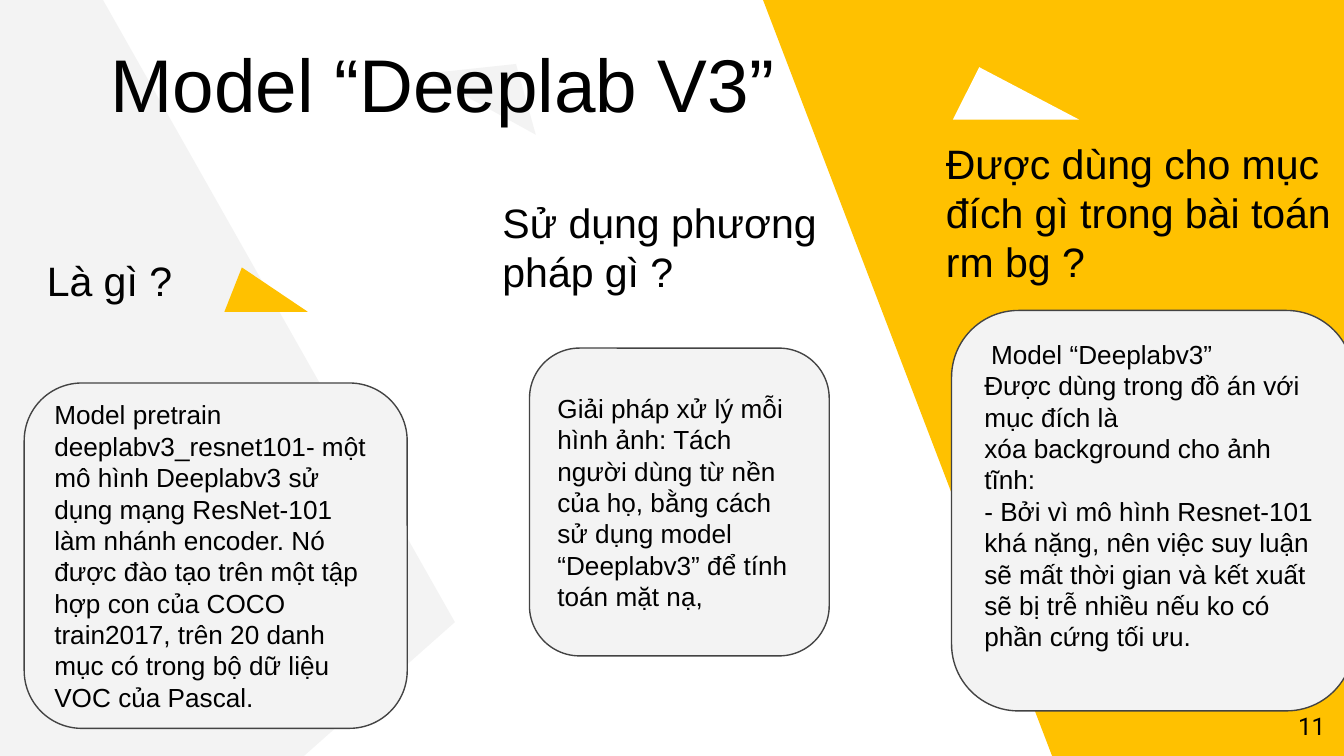
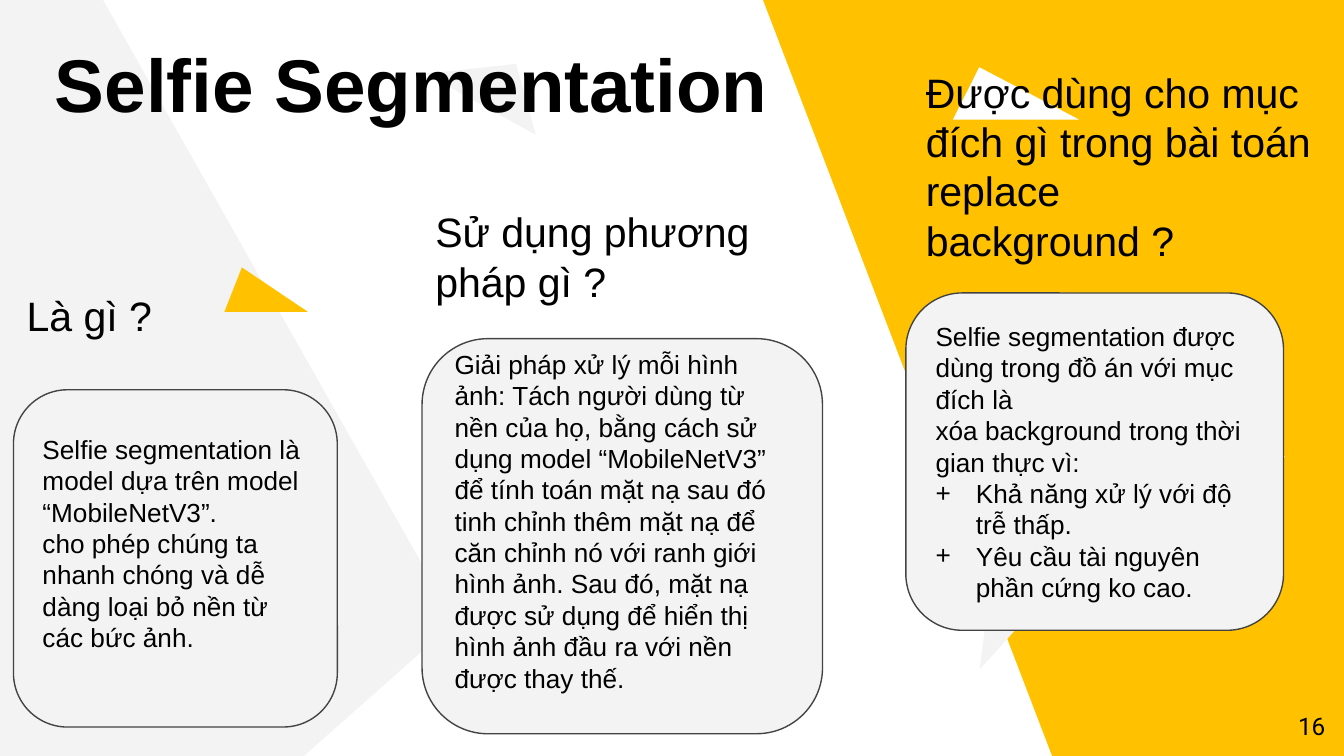
import dataclasses
import typing

import lxml.etree
import pptx
import pptx.dml.color
import pptx.enum.shapes
import pptx.enum.text
import pptx.oxml.ns
import pptx.util

Inches = pptx.util.Inches
Shapes = pptx.enum.shapes.MSO_SHAPE
Align = pptx.enum.text.PP_ALIGN
Anchor = pptx.enum.text.MSO_ANCHOR

YELLOW = "FFC100"
PALE = "F3F3F3"
WHITE = "FFFFFF"
BLACK = "000000"
OUTLINE = "434343"
BODY_FONT = "Arial"
NUMBER_FONT = "Roboto"
INSET = 0.1
BULLET_INDENT = 0.3
RAISED_INSETS = (0, 0.23)


class Box(typing.NamedTuple):
    left: float
    top: float
    width: float
    height: float


@dataclasses.dataclass(frozen=True)
class Triangle:
    box: Box
    fill: str
    apex: float
    rotation: float = 0
    flipped: bool = True


@dataclasses.dataclass(frozen=True)
class Line:
    text: str
    indent: float = 0
    bullet: str = ""


@dataclasses.dataclass(frozen=True)
class Column:
    question: str
    question_box: Box
    answer: tuple[Line, ...]
    answer_box: Box
    raised: bool = False


@dataclasses.dataclass(frozen=True)
class ModelSlide:
    title: str
    title_box: Box
    number: int
    columns: tuple[Column, ...]
    bold_title: bool = False
    accents: tuple[Triangle, ...] = ()


BACKDROP = (
    Triangle(Box(-0.45, 1.21, 16.54, 4.8), YELLOW, 0.759, 270, False),
    Triangle(Box(-2.81, 1.44, 9, 3.39), PALE, 0.334, 90),
    Triangle(Box(1.67, 1.99, 0.62, 0.33), YELLOW, 0.791),
    Triangle(Box(3.2, 0.41, 0.94, 0.39), PALE, 0.408, 28.9),
    Triangle(Box(7.09, 0.5, 0.94, 0.39), WHITE, 0.791),
    Triangle(Box(7.09, 4.53, 0.63, 0.26), PALE, 0.408, 312.1),
)

WHAT = "Là gì ?"
METHOD = "Sử dụng phương pháp gì ?"

MODEL_SLIDES = (
    ModelSlide(
        "Model “Deeplab V3”", Box(0.23, 0.18, 6.12, 0.88), 11,
        (
            Column(
                WHAT, Box(0.25, 1.8, 2.71, 0.63),
                (Line("Model pretrain deeplabv3_resnet101- một mô hình Deeplabv3 "
                      "sử dụng mạng ResNet-101 làm nhánh encoder. Nó được đào tạo "
                      "trên một tập hợp con của COCO train2017, trên 20 danh mục "
                      "có trong bộ dữ liệu VOC của Pascal."),),
                Box(0.18, 2.85, 2.85, 2.57),
            ),
            Column(
                METHOD, Box(3.64, 1.37, 2.71, 0.63),
                (Line("Giải pháp xử lý mỗi hình ảnh: Tách người dùng từ nền của "
                      "họ, bằng cách sử dụng model “Deeplabv3” để tính toán mặt nạ,"),),
                Box(3.94, 2.59, 2.23, 2.29),
            ),
            Column(
                "Được dùng cho mục đích gì trong bài toán rm bg ?",
                Box(6.94, 0.93, 3.14, 0.44),
                (
                    Line("Model “Deeplabv3”", indent=0.05),
                    Line("Được dùng trong đồ án với mục đích là"),
                    Line("xóa background cho ảnh tĩnh:"),
                    Line("- Bởi vì mô hình Resnet-101 khá nặng, nên việc suy luận "
                         "sẽ mất thời gian và kết xuất sẽ bị trễ nhiều nếu ko có "
                         "phần cứng tối ưu."),
                ),
                Box(7.08, 2.31, 2.99, 2.98), raised=True,
            ),
        ),
    ),
    ModelSlide(
        "Selfie Segmentation", Box(0, 0.18, 6.12, 0.88), 16,
        (
            Column(
                WHAT, Box(0.1, 2.06, 1.65, 0.63),
                (
                    Line("Selfie segmentation là model dựa trên model “MobileNetV3”."),
                    Line("cho phép chúng ta nhanh chóng và dễ dàng loại bỏ nền từ "
                         "các bức ảnh."),
                ),
                Box(0.1, 2.9, 2.41, 2.51), raised=True,
            ),
            Column(
                METHOD, Box(3.14, 1.44, 2.71, 0.63),
                (Line("Giải pháp xử lý mỗi hình ảnh: Tách người dùng từ nền của "
                      "họ, bằng cách sử dụng model “MobileNetV3” để tính toán mặt "
                      "nạ sau đó tinh chỉnh thêm mặt nạ để căn chỉnh nó với ranh "
                      "giới hình ảnh. Sau đó, mặt nạ được sử dụng để hiển thị hình "
                      "ảnh đầu ra với nền được thay thế."),),
                Box(3.14, 2.52, 2.98, 2.94), raised=True,
            ),
            Column(
                "Được dùng cho mục đích gì trong bài toán replace background ?",
                Box(6.79, 0.4, 3.11, 1.51),
                (
                    Line("Selfie segmentation được dùng trong đồ án với mục đích là"),
                    Line("xóa background trong thời gian thực vì:"),
                    Line("Khả năng xử lý với độ trễ thấp.", BULLET_INDENT, "+"),
                    Line("Yêu cầu tài nguyên phần cứng ko cao.", BULLET_INDENT, "+"),
                ),
                Box(6.74, 2.18, 2.81, 2.51),
            ),
        ),
        bold_title=True,
        accents=(Triangle(Box(9.11, 3.5, 0.53, 0.22), WHITE, 0.489, 152.8, False),),
    ),
)


def rgb(color: str) -> pptx.dml.color.RGBColor:
    return pptx.dml.color.RGBColor.from_string(color)


def lengths(box: Box) -> list[int]:
    return [Inches(value) for value in box]


def set_frame(frame, anchor, insets: tuple[float, float] = (INSET, INSET)) -> None:
    frame.word_wrap = True
    frame.auto_size = pptx.enum.text.MSO_AUTO_SIZE.NONE
    frame.vertical_anchor = anchor
    frame.margin_left = frame.margin_right = Inches(INSET)
    frame.margin_top, frame.margin_bottom = map(Inches, insets)


def style(paragraph, size: float, font: str = BODY_FONT, align=Align.LEFT,
          bold: bool = False) -> None:
    paragraph.alignment = align
    for run in paragraph.runs:
        run.font.name = font
        run.font.size = pptx.util.Pt(size)
        run.font.bold = bold
        run.font.color.rgb = rgb(BLACK)


def set_indent(paragraph, line: Line) -> None:
    properties = paragraph._p.get_or_add_pPr()
    properties.set("marL", str(Inches(line.indent)))
    if line.bullet:
        properties.set("indent", str(-Inches(line.indent)))
        for tag, key, value in (("a:buFont", "typeface", BODY_FONT),
                                ("a:buChar", "char", line.bullet)):
            lxml.etree.SubElement(properties, pptx.oxml.ns.qn(tag)).set(key, value)


def add_triangle(slide, triangle: Triangle):
    shape = slide.shapes.add_shape(Shapes.ISOSCELES_TRIANGLE, *lengths(triangle.box))
    shape.shadow.inherit = False
    shape.adjustments[0] = triangle.apex
    shape.rotation = triangle.rotation
    shape.fill.solid()
    shape.fill.fore_color.rgb = rgb(triangle.fill)
    shape.line.fill.background()
    if triangle.flipped:
        shape._element.spPr.xfrm.set("flipH", "1")
    return shape


def add_label(slide, text: str, box: Box, size: float, font: str = BODY_FONT,
              align=Align.LEFT) -> None:
    frame = slide.shapes.add_textbox(*lengths(box)).text_frame
    set_frame(frame, Anchor.TOP)
    frame.text = text
    style(frame.paragraphs[0], size, font, align)


def add_answer(slide, column: Column) -> None:
    card = slide.shapes.add_shape(Shapes.ROUNDED_RECTANGLE, *lengths(column.answer_box))
    card.shadow.inherit = False
    card.adjustments[0] = 0.167
    card.fill.solid()
    card.fill.fore_color.rgb = rgb(PALE)
    card.line.color.rgb = rgb(OUTLINE)
    card.line.width = pptx.util.Pt(0.75)
    frame = card.text_frame
    set_frame(frame, Anchor.MIDDLE, RAISED_INSETS if column.raised else (INSET, INSET))
    frame.text = "\n".join(line.text for line in column.answer)
    for paragraph, line in zip(frame.paragraphs, column.answer):
        set_indent(paragraph, line)
        style(paragraph, 14)


def set_title(slide, content: ModelSlide) -> None:
    title = slide.shapes.title
    title.left, title.top, title.width, title.height = lengths(content.title_box)
    set_frame(title.text_frame, Anchor.TOP)
    title.text_frame.text = content.title
    style(title.text_frame.paragraphs[0], 40, align=Align.CENTER,
          bold=content.bold_title)


def add_model_slide(deck, layout, content: ModelSlide):
    slide = deck.slides.add_slide(layout)
    set_title(slide, content)
    for accent in content.accents:
        add_triangle(slide, accent)
    for column in content.columns:
        add_label(slide, column.question, column.question_box, 22)
        add_answer(slide, column)
    add_label(slide, str(content.number), Box(9.36, 5.19, 0.6, 0.43), 13,
              NUMBER_FONT, Align.RIGHT)
    return slide


def move_backdrop_to_layout(slide, layout) -> None:
    for triangle in BACKDROP:
        layout.shapes._spTree.append(add_triangle(slide, triangle)._element)


def main() -> None:
    deck = pptx.Presentation()
    deck.slide_width = Inches(10)
    deck.slide_height = Inches(10) * 9 // 16
    layout = deck.slide_layouts.get_by_name("Title Only")
    slides = [add_model_slide(deck, layout, content) for content in MODEL_SLIDES]
    move_backdrop_to_layout(slides[0], layout)
    deck.save("out.pptx")


if __name__ == "__main__":
    main()
